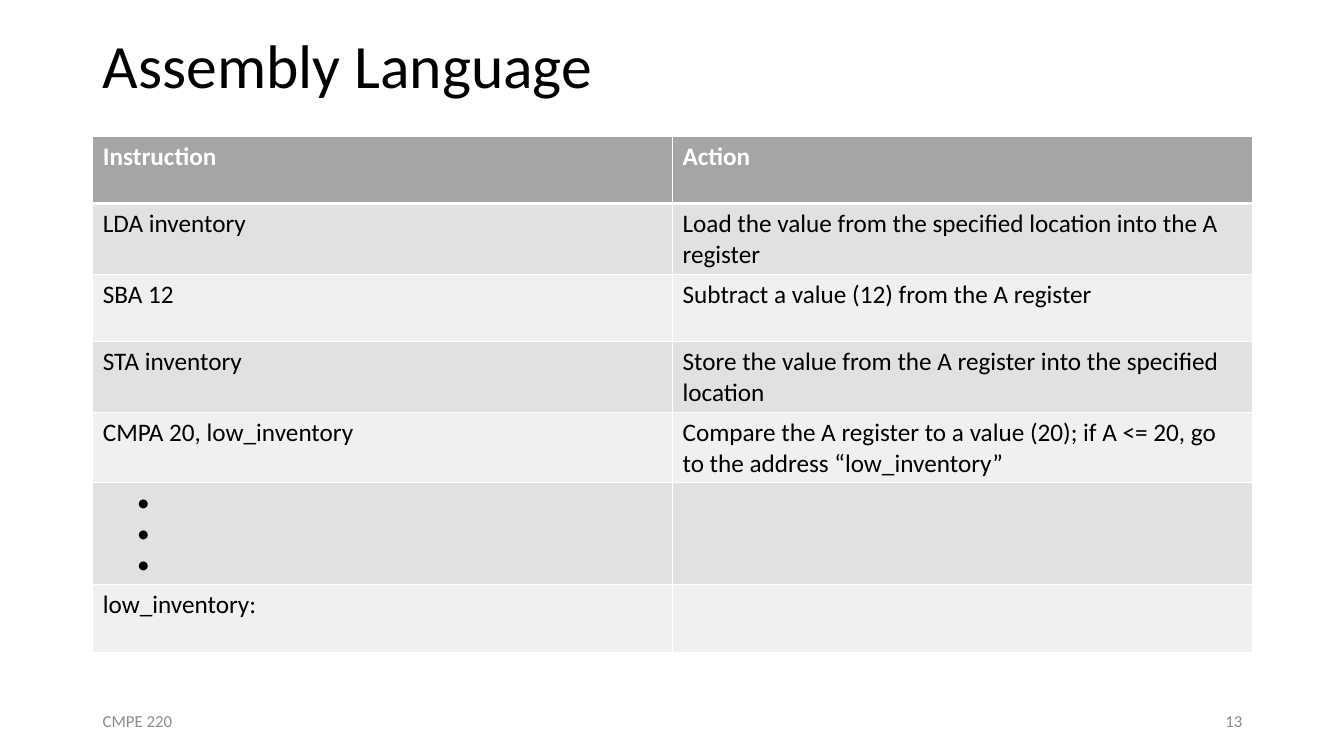
from dataclasses import dataclass

from lxml.etree import SubElement
from pptx import Presentation
from pptx.dml.color import RGBColor
from pptx.enum.text import MSO_ANCHOR, PP_ALIGN
from pptx.oxml.ns import qn
from pptx.slide import Slide
from pptx.table import Table, _Cell
from pptx.text.text import TextFrame
from pptx.util import Inches, Pt


@dataclass(frozen=True)
class Theme:
    """Colours, font and type sizes of the slide."""
    font: str = "Calibri"
    ink: str = "000000"
    white: str = "FFFFFF"
    footer: str = "8C8C8C"
    header_fill: str = "A5A5A5"
    band_fills: tuple[str, str] = ("E1E1E1", "F0F0F0")
    title_size: float = 44
    table_size: float = 18
    footer_size: float = 12
    border_width: float = 1
    header_rule_width: float = 3


@dataclass(frozen=True)
class Label:
    """A line of text in its own box."""
    text: str
    left: float
    top: float
    width: float
    height: float
    size: float
    color: str
    align: PP_ALIGN = PP_ALIGN.LEFT
    line_spacing: float = 1.0


@dataclass(frozen=True)
class InstructionRow:
    """A table row with an instruction and what it does."""
    instruction: str
    action: str
    height: float
    indent: float = 0


THEME = Theme()
MARGIN = 0.92
CONTENT_WIDTH = 11.5
TABLE_TOP = 1.35
FOOTER_TOP, FOOTER_WIDTH, FOOTER_HEIGHT = 6.95, 3, 0.4
SHORT_ROW, LONG_ROW = 0.67, 0.7

LABELS = [
    Label("Assembly Language", MARGIN, 0, CONTENT_WIDTH, TABLE_TOP,
          THEME.title_size, THEME.ink, line_spacing=0.9),
    Label("CMPE 220", MARGIN, FOOTER_TOP, FOOTER_WIDTH, FOOTER_HEIGHT,
          THEME.footer_size, THEME.footer),
    Label("13", MARGIN + CONTENT_WIDTH - FOOTER_WIDTH, FOOTER_TOP, FOOTER_WIDTH,
          FOOTER_HEIGHT, THEME.footer_size, THEME.footer, PP_ALIGN.RIGHT),
]

ROWS = [
    InstructionRow("Instruction", "Action", SHORT_ROW),
    InstructionRow("LDA inventory",
                   "Load the value from the specified location into the A register", LONG_ROW),
    InstructionRow("SBA 12", "Subtract a value (12) from the A register", SHORT_ROW),
    InstructionRow("STA inventory",
                   "Store the value from the A register into the specified location", LONG_ROW),
    InstructionRow("CMPA 20, low_inventory",
                   "Compare the A register to a value (20); if A <= 20, "
                   "go to the address “low_inventory”", LONG_ROW),
    InstructionRow("•\n•\n•", "", 1.01, indent=0.34),
    InstructionRow("low_inventory:", "", SHORT_ROW),
]


def format_text(text_frame: TextFrame, size: float, color: str, bold: bool = False) -> None:
    """Give every paragraph and run the theme font and the given look."""
    for paragraph in text_frame.paragraphs:
        paragraph.font.size = Pt(size)
        for run in paragraph.runs:
            run.font.name = THEME.font
            run.font.size = Pt(size)
            run.font.bold = bold
            run.font.color.rgb = RGBColor.from_string(color)


def add_label(slide: Slide, label: Label) -> None:
    """Add a vertically centred text box."""
    shape = slide.shapes.add_textbox(Inches(label.left), Inches(label.top),
                                     Inches(label.width), Inches(label.height))
    text_frame = shape.text_frame
    text_frame.word_wrap = True
    text_frame.vertical_anchor = MSO_ANCHOR.MIDDLE
    text_frame.text = label.text
    text_frame.paragraphs[0].alignment = label.align
    text_frame.paragraphs[0].line_spacing = label.line_spacing
    format_text(text_frame, label.size, label.color)


def set_borders(cell: _Cell, top: float, bottom: float) -> None:
    """Draw white borders with the given top and bottom widths."""
    properties = cell._tc.get_or_add_tcPr()
    side = THEME.border_width
    for tag, width in (("a:lnL", side), ("a:lnR", side), ("a:lnT", top), ("a:lnB", bottom)):
        line = SubElement(properties, qn(tag), w=str(Pt(width)))
        fill = SubElement(line, qn("a:solidFill"))
        SubElement(fill, qn("a:srgbClr"), val=THEME.white)


def fill_row(table: Table, index: int, row: InstructionRow) -> None:
    """Write and style one row of the table."""
    is_header = index == 0
    fill_color = THEME.header_fill if is_header else THEME.band_fills[(index - 1) % 2]
    table.rows[index].height = Inches(row.height)
    for column, text in enumerate((row.instruction, row.action)):
        cell = table.cell(index, column)
        cell.text_frame.text = text
        format_text(cell.text_frame, THEME.table_size,
                    THEME.white if is_header else THEME.ink, is_header)
        set_borders(cell,
                    THEME.header_rule_width if index == 1 else THEME.border_width,
                    THEME.header_rule_width if is_header else THEME.border_width)
        cell.fill.solid()
        cell.fill.fore_color.rgb = RGBColor.from_string(fill_color)
    if row.indent:
        for paragraph in table.cell(index, 0).text_frame.paragraphs:
            paragraph._p.get_or_add_pPr().set("marL", str(Inches(row.indent)))


def add_instruction_table(slide: Slide, rows: list[InstructionRow]) -> None:
    """Add the table of instructions and actions."""
    height = sum(row.height for row in rows)
    table = slide.shapes.add_table(len(rows), 2, Inches(MARGIN), Inches(TABLE_TOP),
                                   Inches(CONTENT_WIDTH), Inches(height)).table
    for index, row in enumerate(rows):
        fill_row(table, index, row)


def main() -> None:
    """Build the slide and save it."""
    presentation = Presentation()
    presentation.slide_width = Inches(13.33)
    presentation.slide_height = Inches(7.5)
    slide = presentation.slides.add_slide(presentation.slide_layouts[6])
    for label in LABELS:
        add_label(slide, label)
    add_instruction_table(slide, ROWS)
    presentation.save("out.pptx")


if __name__ == "__main__":
    main()
